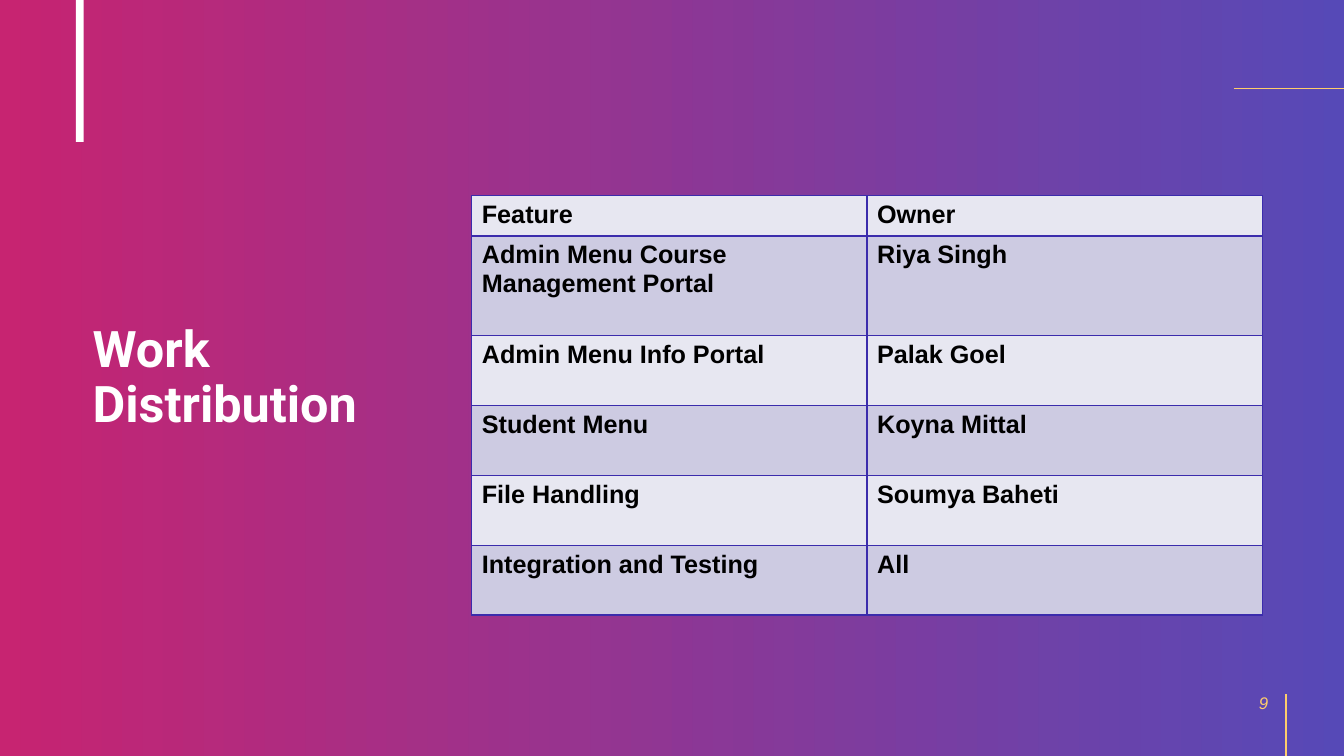
"""Build the work distribution slide with its table of features and owners."""
import dataclasses

import lxml.etree
import pptx
import pptx.dml.color
import pptx.enum.dml
import pptx.enum.shapes
import pptx.enum.text
import pptx.oxml.ns
import pptx.util

Cm = pptx.util.Cm
Pt = pptx.util.Pt
RGBColor = pptx.dml.color.RGBColor
Align = pptx.enum.text.PP_ALIGN
qn = pptx.oxml.ns.qn

PINK = RGBColor(0xBE, 0x00, 0x5A)
BLUE = RGBColor(0x3B, 0x2C, 0xAC)
GOLD = RGBColor(0xFF, 0xCD, 0x6B)
WHITE = RGBColor(0xFF, 0xFF, 0xFF)
BLACK = RGBColor(0x00, 0x00, 0x00)
LIGHT = RGBColor(0xE7, 0xE7, 0xF1)
DARK = RGBColor(0xCD, 0xCB, 0xE2)

WIDE, HIGH = 33.87, 19.05


@dataclasses.dataclass
class Rule:
    left: float
    top: float
    right: float
    base: float
    weight: float


@dataclasses.dataclass
class Task:
    name: str
    owner: str
    height: float = 1.76


RULES = [
    Rule(31.09, 2.24, WIDE, 2.24, 0.75),
    Rule(32.41, HIGH, 32.41, 17.5, 1.5),
]
TASKS = [
    Task("Feature", "Owner", 0.97),
    Task("Admin Menu Course Management Portal", "Riya Singh", 2.51),
    Task("Admin Menu Info Portal", "Palak Goel"),
    Task("Student Menu", "Koyna Mittal"),
    Task("File Handling", "Soumya Baheti"),
    Task("Integration and Testing", "All"),
]


def write(frame, text: str, *, size: float, color: RGBColor, font: str = "Arial",
          bold: bool = False, slant: bool = False, align=Align.LEFT, space: float = 1.0) -> None:
    frame.word_wrap = True
    frame.text = text
    line = frame.paragraphs[0]
    line.alignment = align
    line.line_spacing = space
    face = line.runs[0].font
    face.name, face.size, face.bold, face.italic = font, Pt(size), bold, slant
    face.color.rgb = color


def add_box(slide, left: float, top: float, width: float, height: float):
    box = slide.shapes.add_shape(pptx.enum.shapes.MSO_SHAPE.RECTANGLE,
                                 Cm(left), Cm(top), Cm(width), Cm(height))
    box.shadow.inherit = False
    box.line.fill.background()
    return box


def add_back(slide) -> None:
    back = add_box(slide, 0, 0, WIDE, HIGH)
    back.fill.gradient()
    back.fill.gradient_angle = 0
    for stop, color in zip(back.fill.gradient_stops, (PINK, BLUE)):
        stop.color.rgb = color
    for tint in back.element.spPr.iter(qn("a:srgbClr")):
        lxml.etree.SubElement(tint, qn("a:alpha"), val="85000")


def add_rule(slide, rule: Rule) -> None:
    line = slide.shapes.add_connector(pptx.enum.shapes.MSO_CONNECTOR.STRAIGHT, Cm(rule.left),
                                      Cm(rule.top), Cm(rule.right), Cm(rule.base))
    line.line.color.rgb = GOLD
    line.line.width = Pt(rule.weight)
    lxml.etree.SubElement(line.element.spPr, qn("a:effectLst"))


def add_edge(cell) -> None:
    props = cell._tc.get_or_add_tcPr()
    for spot, side in enumerate(("lnL", "lnR", "lnT", "lnB")):
        edge = lxml.etree.Element(qn(f"a:{side}"), w=str(Pt(1)))
        fill = lxml.etree.SubElement(edge, qn("a:solidFill"))
        lxml.etree.SubElement(fill, qn("a:srgbClr"), val=str(BLUE))
        props.insert(spot, edge)


def add_grid(slide) -> None:
    total = sum(task.height for task in TASKS)
    grid = slide.shapes.add_table(len(TASKS), 2, Cm(11.89), Cm(4.93),
                                  Cm(19.92), Cm(total)).table
    grid.first_row = grid.horz_banding = False
    for row, task in enumerate(TASKS):
        grid.rows[row].height = Cm(task.height)
        for cell, text in zip(grid.rows[row].cells, (task.name, task.owner)):
            cell.fill.solid()
            cell.fill.fore_color.rgb = DARK if row % 2 else LIGHT
            write(cell.text_frame, text, size=18, color=BLACK, bold=True)
            add_edge(cell)


def add_title(slide) -> None:
    title = slide.shapes.title
    title.left, title.top, title.width, title.height = Cm(2.08), Cm(7.7), Cm(8.59), Cm(3.68)
    frame = title.text_frame
    frame.auto_size = pptx.enum.text.MSO_AUTO_SIZE.NONE
    frame.vertical_anchor = pptx.enum.text.MSO_ANCHOR.MIDDLE
    write(frame, "Work Distribution", size=36, color=WHITE, font="Roboto", bold=True, space=0.9)
    title.element.getparent().append(title.element)


def add_page(slide) -> None:
    page = slide.shapes.add_textbox(Cm(24.59), Cm(17.2), Cm(7.62), Cm(1.02))
    page.text_frame.vertical_anchor = pptx.enum.text.MSO_ANCHOR.MIDDLE
    write(page.text_frame, "9", size=12, color=GOLD, slant=True, align=Align.RIGHT)


def main() -> None:
    deck = pptx.Presentation()
    deck.slide_width, deck.slide_height = Cm(WIDE), Cm(HIGH)
    slide = deck.slides.add_slide(deck.slide_layouts.get_by_name("Title Only"))
    add_back(slide)
    bar = add_box(slide, 1.91, 0, 0.2, 3.58)
    bar.fill.solid()
    bar.fill.fore_color.rgb = WHITE
    for rule in RULES:
        add_rule(slide, rule)
    add_title(slide)
    add_page(slide)
    add_grid(slide)
    deck.save("out.pptx")


if __name__ == "__main__":
    main()
